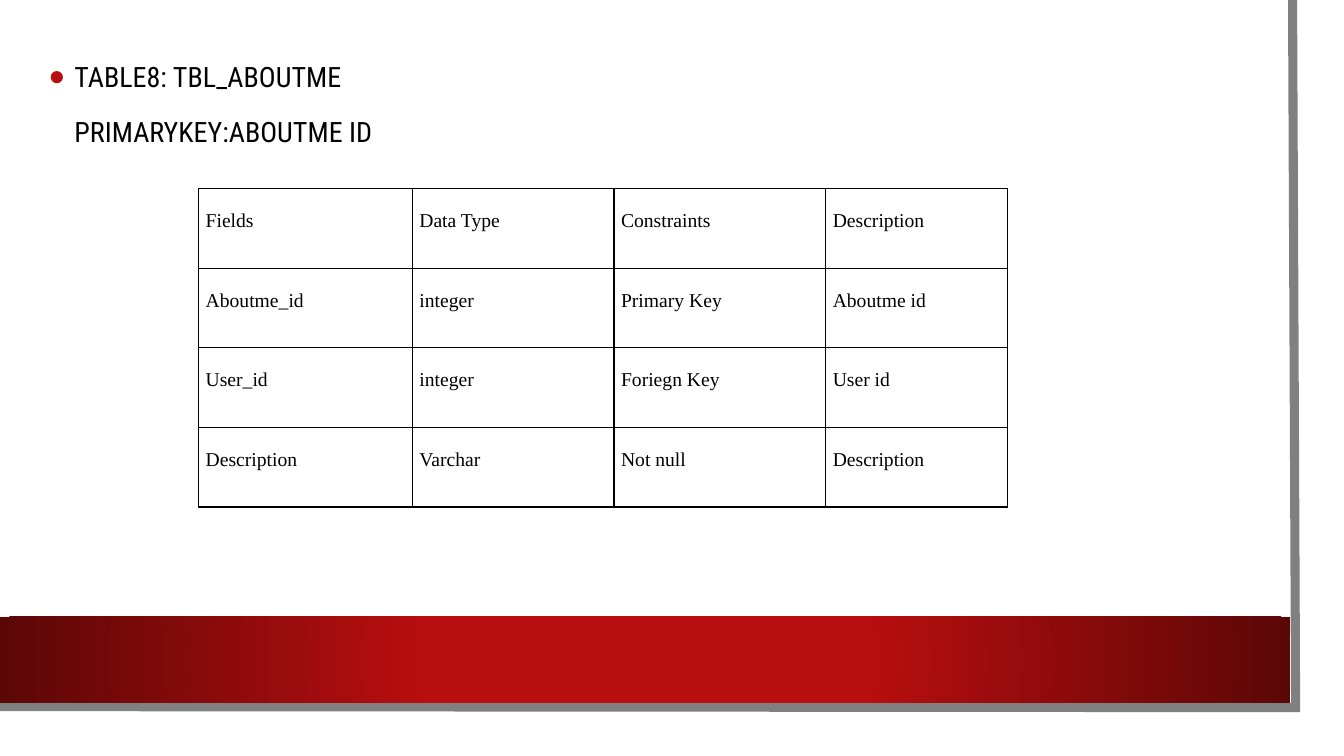
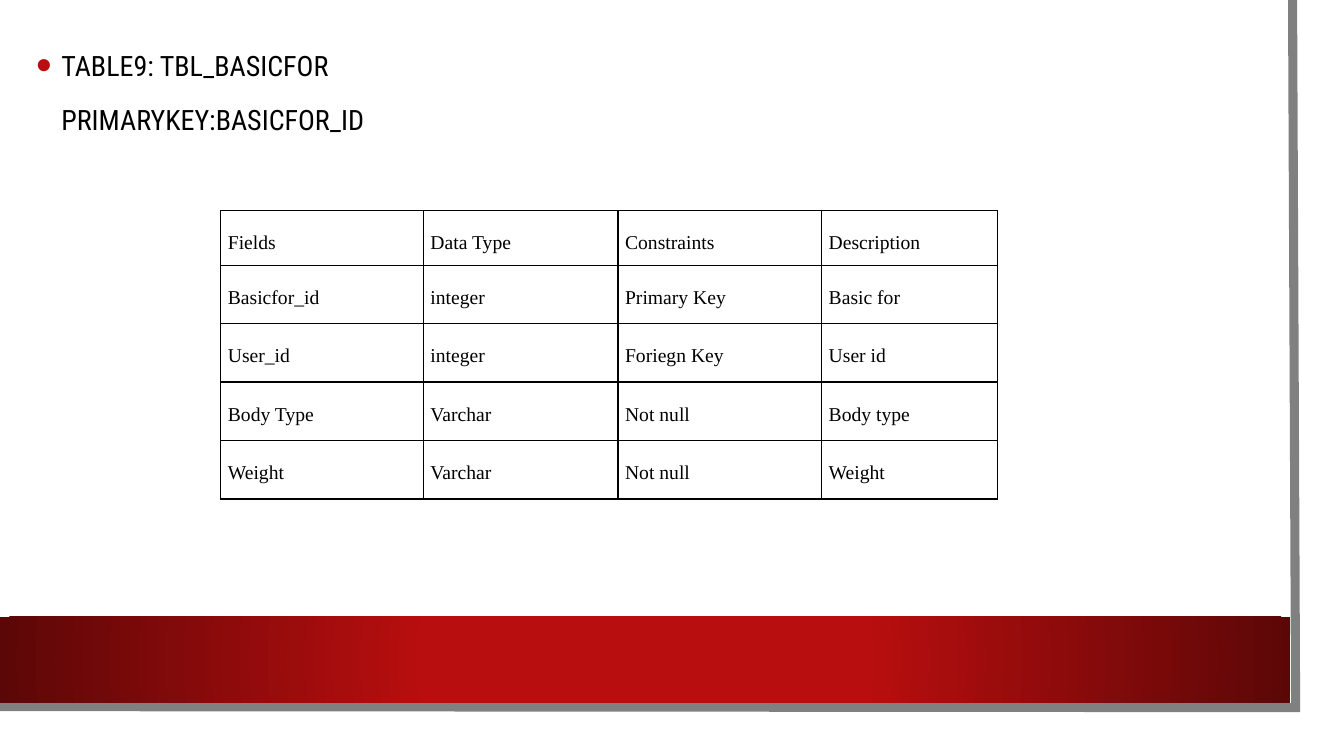
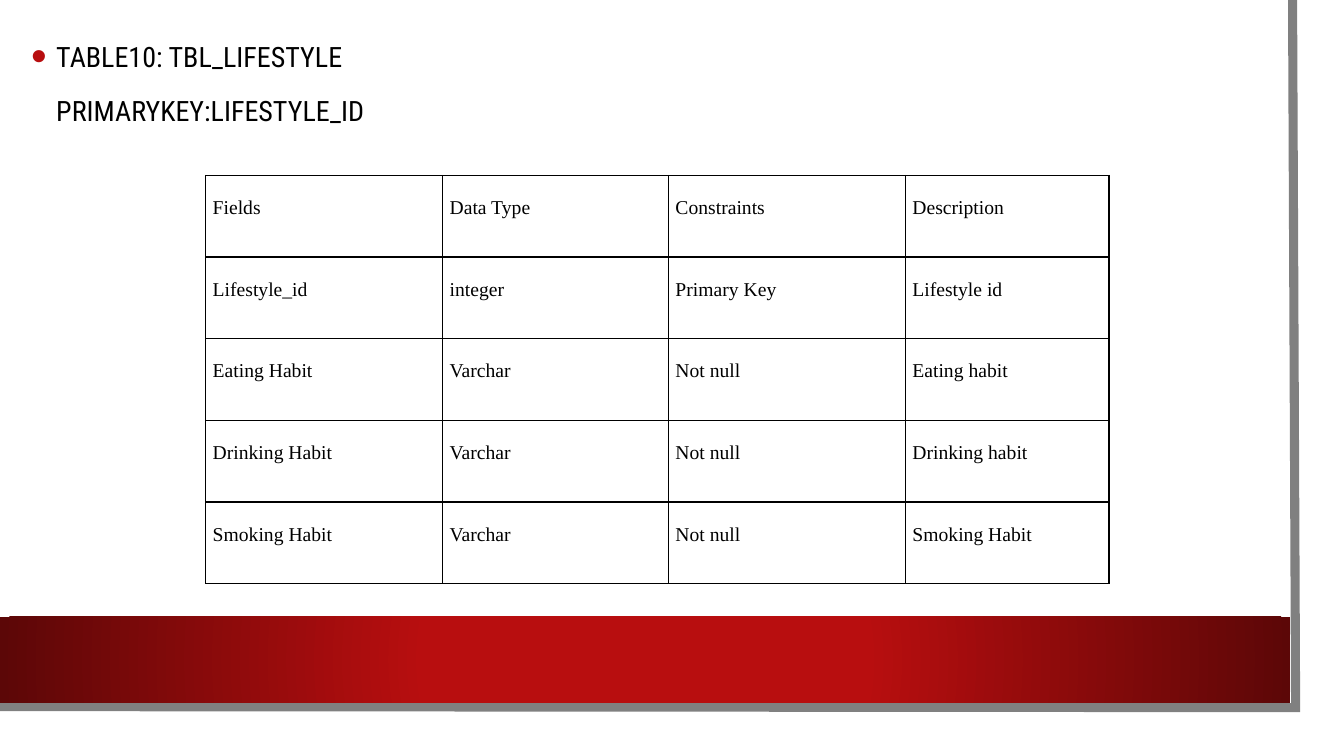
from dataclasses import dataclass

from pptx import Presentation
from pptx import oxml
from pptx import slide as sl
from pptx import table as tb
from pptx import util as u
from pptx.dml.color import RGBColor
from pptx.enum import shapes, text
from pptx.oxml.ns import nsdecls
from pptx.text import text as tx

PX = 9144  # EMU per px, 100 px to the inch


@dataclass(frozen=True)
class Theme:
    ink: str = "000000"
    red: str = "B80E0F"
    dark_red: str = "5C0707"
    edge_grey: str = "808080"
    heading_font: str = "Roboto Condensed"
    table_font: str = "Times New Roman"
    heading_size: int = 20
    table_size: int = 14
    edge_width: float = 6.5
    border_width: float = 1


@dataclass(frozen=True)
class TableSlide:
    title: str
    primary_key: str
    heading_at: tuple[int, int]
    table_at: tuple[int, int]
    column_widths: tuple[int, ...]
    header_height: int
    row_height: int
    fields: tuple[tuple[str, ...], ...]


THEME = Theme()
HEADER = ("Fields", "Data Type", "Constraints", "Description")
HEADING_SIZE = (1137, 119)
HANGING = 25
CELL_MARGIN = 7

TABLE_SLIDES = (
    TableSlide(
        "TABLE8: TBL_ABOUTME", "PRIMARYKEY:ABOUTME ID",
        (39, 40), (197, 187), (212, 200, 210, 180), 79, 79,
        (
            ("Aboutme_id", "integer", "Primary Key", "Aboutme id"),
            ("User_id", "integer", "Foriegn Key", "User id"),
            ("Description", "Varchar", "Not null", "Description"),
        ),
    ),
    TableSlide(
        "TABLE9: TBL_BASICFOR", "PRIMARYKEY:BASICFOR_ID",
        (26, 29), (219, 209), (201, 193, 202, 174), 54, 58,
        (
            ("Basicfor_id", "integer", "Primary Key", "Basic for"),
            ("User_id", "integer", "Foriegn Key", "User id"),
            ("Body Type", "Varchar", "Not null", "Body type"),
            ("Weight", "Varchar", "Not null", "Weight"),
        ),
    ),
    TableSlide(
        "TABLE10: TBL_LIFESTYLE", "PRIMARYKEY:LIFESTYLE_ID",
        (21, 20), (204, 174), (235, 224, 235, 202), 81, 81,
        (
            ("Lifestyle_id", "integer", "Primary Key", "Lifestyle id"),
            ("Eating Habit", "Varchar", "Not null", "Eating habit"),
            ("Drinking Habit", "Varchar", "Not null", "Drinking habit"),
            ("Smoking Habit", "Varchar", "Not null", "Smoking Habit"),
        ),
    ),
)


def px(*lengths: int) -> list[u.Emu]:
    return [u.Emu(length * PX) for length in lengths]


def xml(tag: str, attributes: str = "", content: str = "") -> oxml.xmlchemy.BaseOxmlElement:
    return oxml.parse_xml(f"<a:{tag} {nsdecls('a')} {attributes}>{content}</a:{tag}>")


def colour(value: str) -> str:
    return f'<a:srgbClr val="{value}"/>'


def write(paragraph: tx._Paragraph, words: str, *, font: str, size: int,
          line_spacing: float, space_before: int = 0) -> None:
    paragraph.line_spacing = line_spacing
    paragraph.space_before = u.Pt(space_before)
    run = paragraph.add_run()
    run.text = words
    run.font.name = font
    run.font.size = u.Pt(size)
    run.font.bold = False
    run.font.color.rgb = RGBColor.from_string(THEME.ink)


def indent(paragraph: tx._Paragraph, bullet: bool) -> None:
    """Indent the text, hanging a red bullet in the indent if asked."""
    properties = paragraph._p.get_or_add_pPr()
    properties.set("marL", str(HANGING * PX))
    properties.set("indent", str(-HANGING * PX if bullet else 0))
    if bullet:
        properties.append(xml("buClr", content=colour(THEME.red)))
        properties.append(xml("buSzPct", 'val="160000"'))
        properties.append(xml("buFont", 'typeface="Arial"'))
        properties.append(xml("buChar", 'char="•"'))


def add_frame(slide: sl.Slide) -> None:
    """Draw the grey page edge and the red band over it."""
    outline = slide.shapes.build_freeform(1282, 0, scale=PX)
    outline.add_line_segments([(1285, 702), (-3, 701)], close=False)
    edge = outline.convert_to_shape()
    edge.fill.background()
    edge.line.color.rgb = RGBColor.from_string(THEME.edge_grey)
    edge.line.width = u.Pt(THEME.edge_width)
    edge.line._get_or_add_ln().append(xml("miter", 'lim="800000"'))
    edge.shadow.inherit = False

    band = slide.shapes.add_shape(shapes.MSO_SHAPE.RECTANGLE, *px(0, 612, 1280, 85))
    band._element.spPr.append(xml("gradFill", 'rotWithShape="1"', (
        f'<a:gsLst><a:gs pos="34000">{colour(THEME.red)}</a:gs>'
        f'<a:gs pos="100000">{colour(THEME.dark_red)}</a:gs></a:gsLst>'
        '<a:path path="circle"><a:fillToRect l="50000" t="50000" r="50000" b="50000"/></a:path>')))
    band.line.fill.background()
    band.shadow.inherit = False


def add_heading(slide: sl.Slide, content: TableSlide) -> None:
    frame = slide.shapes.add_textbox(*px(*content.heading_at, *HEADING_SIZE)).text_frame
    frame.word_wrap = True
    frame.vertical_anchor = text.MSO_ANCHOR.MIDDLE
    title, primary_key = frame.paragraphs[0], frame.add_paragraph()
    indent(title, bullet=True)
    indent(primary_key, bullet=False)
    style = dict(font=THEME.heading_font, size=THEME.heading_size, line_spacing=1.2)
    write(title, content.title, **style)
    write(primary_key, content.primary_key, space_before=10, **style)


def fill_cell(cell: tb._Cell, words: str) -> None:
    cell.margin_left, cell.margin_right, cell.margin_top, cell.margin_bottom = px(
        CELL_MARGIN, CELL_MARGIN, 0, 0)
    properties = cell._tc.get_or_add_tcPr()
    for side in "LRTB":
        properties.append(xml(f"ln{side}", f'w="{u.Pt(THEME.border_width)}"',
                              f"<a:solidFill>{colour(THEME.ink)}</a:solidFill>"))
    cell.fill.background()
    write(cell.text_frame.paragraphs[0], words, font=THEME.table_font,
          size=THEME.table_size, line_spacing=2.0)


def add_field_table(slide: sl.Slide, content: TableSlide) -> None:
    rows = (HEADER, *content.fields)
    heights = [content.header_height] + [content.row_height] * len(content.fields)
    table = slide.shapes.add_table(
        len(rows), len(HEADER),
        *px(*content.table_at, sum(content.column_widths), sum(heights))).table
    table.first_row = table.horz_banding = False
    for column, width in zip(table.columns, px(*content.column_widths)):
        column.width = width
    for row, height, entries in zip(table.rows, px(*heights), rows):
        row.height = height
        for cell, words in zip(row.cells, entries):
            fill_cell(cell, words)


def main() -> None:
    deck = Presentation()
    deck.slide_width, deck.slide_height = px(1333, 750)
    blank = deck.slide_layouts[6]
    for content in TABLE_SLIDES:
        slide = deck.slides.add_slide(blank)
        add_frame(slide)
        add_heading(slide, content)
        add_field_table(slide, content)
    deck.save("out.pptx")


if __name__ == "__main__":
    main()
